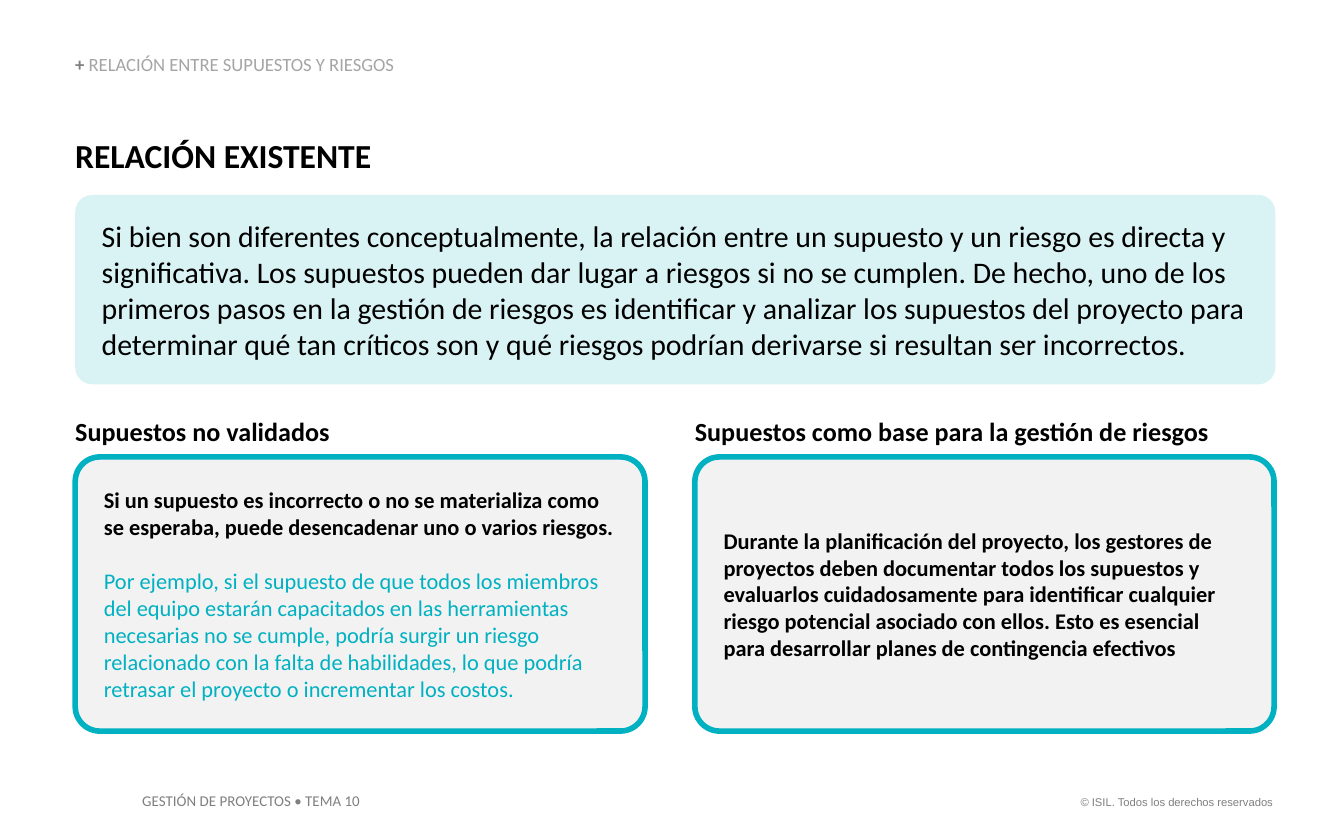
from lxml.etree import SubElement
from pptx import Presentation
from pptx.dml.color import RGBColor
from pptx.enum.shapes import MSO_SHAPE as Shape
from pptx.enum.text import MSO_ANCHOR as Anchor, MSO_AUTO_SIZE as AutoSize, PP_ALIGN as Align
from pptx.oxml.ns import qn
from pptx.util import Inches, Pt

COLORS = {
    "black": "000000",
    "gray": "7F7F7F",
    "light_gray": "A5A5A5",
    "card": "F2F2F2",
    "teal": "00B1C2",
}
LEFT = 0.56
RIGHT_COLUMN = 5.17


def color(name):
    """Return the palette colour with this name."""
    return RGBColor.from_string(COLORS[name])


def add_span(para, text, size, tint="black", bold=False, font="Calibri"):
    """Add one formatted run to a paragraph."""
    span = para.add_run()
    span.text = text
    span.font.name = font
    span.font.size = Pt(size)
    span.font.bold = bold
    span.font.color.rgb = color(tint)


def set_frame(box, insets=(0, 0), anchor=Anchor.TOP):
    """Set wrapping, insets and anchor, and return the first paragraph."""
    frame = box.text_frame
    frame.word_wrap = True
    frame.auto_size = AutoSize.NONE
    frame.vertical_anchor = anchor
    frame.margin_left = frame.margin_right = Inches(insets[0])
    frame.margin_top = frame.margin_bottom = Inches(insets[1])
    para = frame.paragraphs[0]
    para.alignment = Align.LEFT
    return para


def add_label(page, place, insets=(0, 0), anchor=Anchor.TOP):
    """Add a text box and return its first paragraph."""
    box = page.shapes.add_textbox(*map(Inches, place))
    return set_frame(box, insets, anchor)


def set_title(page, place, text):
    """Move and fill the title placeholder."""
    title = page.shapes.title
    title.left, title.top, title.width, title.height = map(Inches, place)
    add_span(set_frame(title), text, 18, bold=True)


def add_panel(page, place, fill):
    """Add a rounded panel without an outline."""
    panel = page.shapes.add_shape(Shape.ROUNDED_RECTANGLE, *map(Inches, place))
    panel.adjustments[0] = 0.09
    panel.shadow.inherit = False
    panel.fill.solid()
    panel.fill.fore_color.rgb = color(fill)
    panel.line.fill.background()
    set_frame(panel, (0.16, 0.05), Anchor.MIDDLE)
    return panel


def set_opacity(shape, percent):
    """Make the solid fill of a shape partly transparent."""
    tint = shape.fill._xPr.find(qn("a:solidFill"))[0]
    SubElement(tint, qn("a:alpha")).set("val", str(percent * 1000))


def add_card(page, left, width, heading, statement, example=None):
    """Add a heading above an outlined card with its text."""
    add_span(add_label(page, (left, 3.09, width, 0.24)), heading, 14, bold=True)
    card = add_panel(page, (left, 3.4, width, 2.04), "card")
    card.line.color.rgb = color("teal")
    card.line.width = Pt(3)
    add_span(card.text_frame.paragraphs[0], statement, 12, bold=True)
    if example:
        para = card.text_frame.add_paragraph()
        para.alignment = Align.LEFT
        para.space_before = Pt(14.5)
        add_span(para, example, 12, "teal")


def add_footer(page):
    """Add the course name and the copyright line."""
    insets = (0.1, 0.05)
    course = add_label(page, (0.96, 5.84, 1.85, 0.24), insets)
    add_span(course, "GESTIÓN DE PROYECTOS • TEMA 10", 8, "gray")
    rights = add_label(page, (7.91, 5.87, 1.66, 0.2), insets)
    rights.alignment = Align.RIGHT
    add_span(rights, "© ISIL. Todos los derechos reservados", 6, "gray", font="Arial")


def main():
    """Build and save the slide."""
    deck = Presentation()
    deck.slide_width, deck.slide_height = Inches(10), Inches(6.25)
    page = deck.slides.add_slide(deck.slide_layouts[5])

    add_footer(page)
    set_title(page, (LEFT, 1, 4.57, 0.3), "RELACIÓN EXISTENTE")
    section = add_label(page, (LEFT, 0.41, 4, 0.15), anchor=Anchor.BOTTOM)
    section.line_spacing = 0.9
    add_span(section, "+ ", 10, "gray", bold=True)
    add_span(section, "RELACIÓN ENTRE SUPUESTOS Y RIESGOS", 10, "light_gray")

    summary = add_panel(page, (LEFT, 1.45, 8.93, 1.41), "teal")
    set_opacity(summary, 15)
    add_span(
        summary.text_frame.paragraphs[0],
        "Si bien son diferentes conceptualmente, la relación entre un supuesto y un "
        "riesgo es directa y significativa. Los supuestos pueden dar lugar a riesgos "
        "si no se cumplen. De hecho, uno de los primeros pasos en la gestión de "
        "riesgos es identificar y analizar los supuestos del proyecto para determinar "
        "qué tan críticos son y qué riesgos podrían derivarse si resultan ser "
        "incorrectos.",
        16,
    )
    add_card(
        page, LEFT, 4.24, "Supuestos no validados",
        "Si un supuesto es incorrecto o no se materializa como se esperaba, puede "
        "desencadenar uno o varios riesgos.",
        "Por ejemplo, si el supuesto de que todos los miembros del equipo estarán "
        "capacitados en las herramientas necesarias no se cumple, podría surgir un "
        "riesgo relacionado con la falta de habilidades, lo que podría retrasar el "
        "proyecto o incrementar los costos.",
    )
    add_card(
        page, RIGHT_COLUMN, 4.31, "Supuestos como base para la gestión de riesgos",
        "Durante la planificación del proyecto, los gestores de proyectos deben "
        "documentar todos los supuestos y evaluarlos cuidadosamente para identificar "
        "cualquier riesgo potencial asociado con ellos. Esto es esencial para "
        "desarrollar planes de contingencia efectivos",
    )
    deck.save("out.pptx")


if __name__ == "__main__":
    main()
